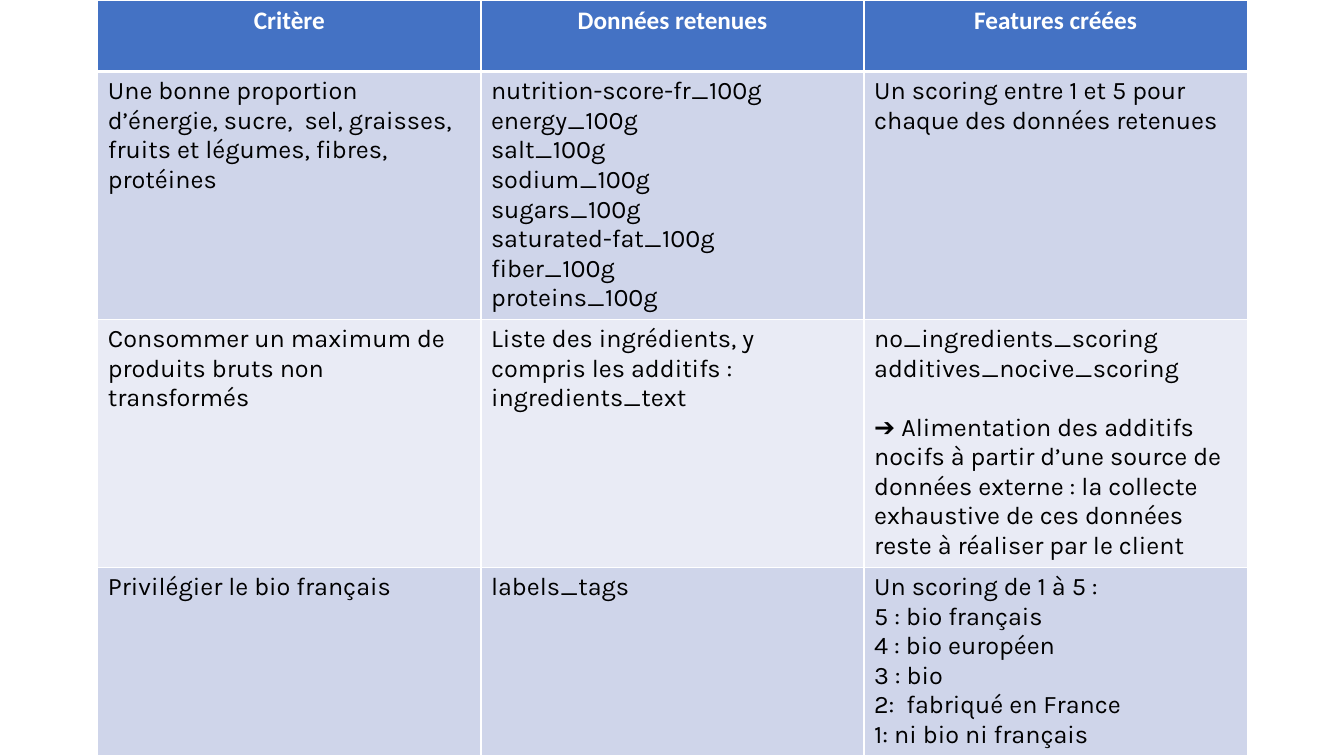
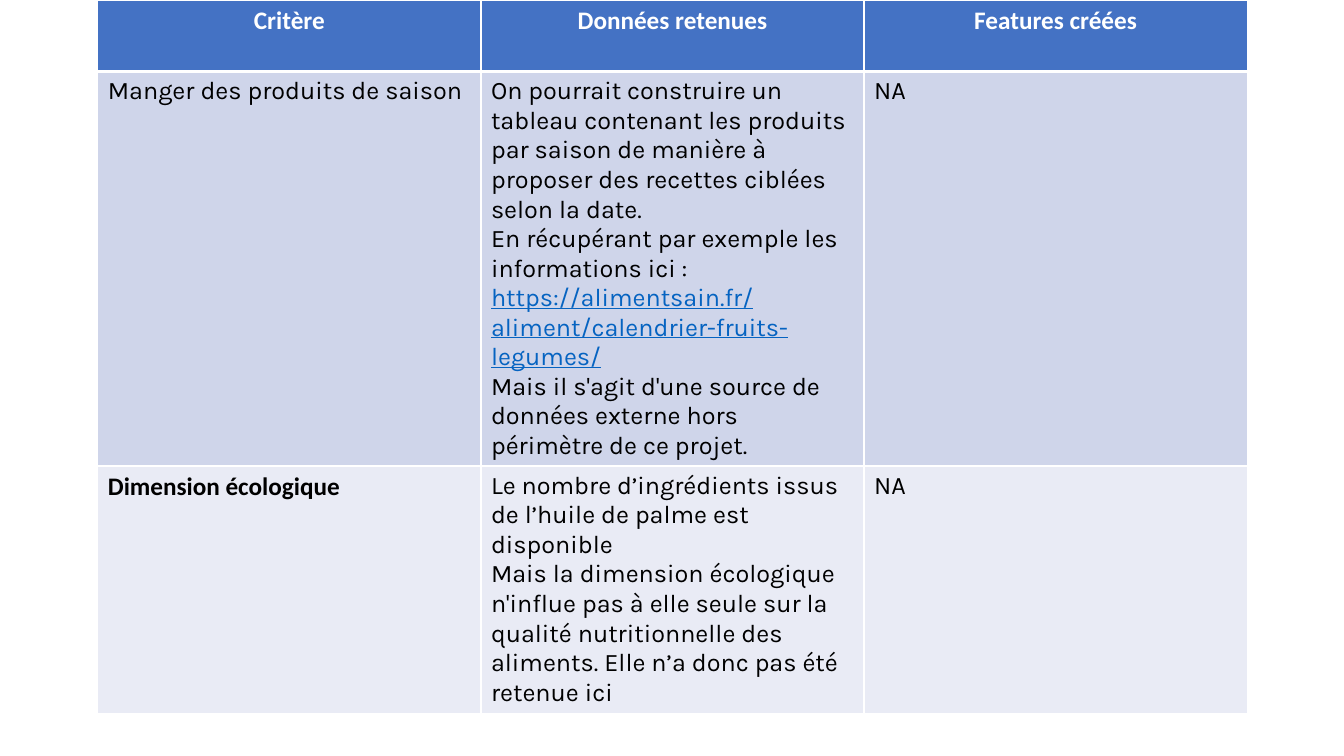
"""Build two slides of criteria tables for a nutrition data project."""
import pptx
import pptx.dml.color
import pptx.enum.text
import pptx.oxml.ns
import pptx.util
from lxml import etree

Inches, Pt = pptx.util.Inches, pptx.util.Pt
RGBColor = pptx.dml.color.RGBColor

WHITE = RGBColor(0xFF, 0xFF, 0xFF)
BLACK = RGBColor(0, 0, 0)
HEADER_BLUE = RGBColor(0x44, 0x72, 0xC4)
BANDS = (RGBColor(0xCF, 0xD5, 0xEA), RGBColor(0xE9, 0xEB, 0xF5))
LINK_BLUE = RGBColor(0x05, 0x63, 0xC1)

STYLES = {
    "header": {"font": "Calibri", "bold": True, "color": WHITE},
    "body": {"font": "Karla", "bold": False, "color": BLACK},
    "strong": {"font": "Calibri", "bold": True, "color": BLACK},
    "link": {"font": "Karla", "bold": False, "color": LINK_BLUE, "underline": True},
    "note": {"font": "Karla", "bold": False, "color": BLACK, "before": 21},
}

TABLE_LEFT, COLUMN_WIDTH, HEADER_HEIGHT = 0.97, 3.8, 0.71
HEADERS = ("Critère", "Données retenues", "Features créées")

SLIDES = [
    [
        (2.46, [
            ["Une bonne proportion d’énergie, sucre,  sel, graisses, fruits et légumes, fibres, protéines"],
            ["nutrition-score-fr_100g", "energy_100g", "salt_100g", "sodium_100g",
             "sugars_100g", "saturated-fat_100g", "fiber_100g", "proteins_100g"],
            ["Un scoring entre 1 et 5 pour chaque des données retenues"],
        ]),
        (2.46, [
            ["Consommer un maximum de produits bruts non transformés"],
            ["Liste des ingrédients, y compris les additifs :", "ingredients_text"],
            ["no_ingredients_scoring", "additives_nocive_scoring",
             ("➔ Alimentation des additifs nocifs à partir d’une source de données externe : "
              "la collecte exhaustive de ces données reste à réaliser par le client", "note")],
        ]),
        (1.87, [
            ["Privilégier le bio français"],
            ["labels_tags"],
            ["Un scoring de 1 à 5 :", "5 : bio français", "4 : bio européen", "3 : bio",
             "2:  fabriqué en France", "1: ni bio ni français"],
        ]),
    ],
    [
        (3.91, [
            ["Manger des produits de saison"],
            ["On pourrait construire un tableau contenant les produits par saison "
             "de manière à proposer des recettes ciblées selon la date.",
             "En récupérant par exemple les informations ici :",
             ("https://alimentsain.fr/aliment/calendrier-fruits-legumes/", "link"),
             "Mais il s'agit d'une source de données externe hors périmètre de ce projet."],
            ["NA"],
        ]),
        (2.46, [
            [("Dimension écologique", "strong")],
            ["Le nombre d’ingrédients issus", "de l’huile de palme est disponible",
             "Mais la dimension écologique n'influe pas à elle seule sur la qualité "
             "nutritionnelle des aliments. Elle n’a donc pas été retenue ici"],
            ["NA"],
        ]),
    ],
]


def set_borders(cell, top, bottom):
    """Draw white cell borders, 1 pt on the sides."""
    tc_pr = cell._tc.get_or_add_tcPr()
    qn = pptx.oxml.ns.qn
    for side, width in (("L", 1), ("R", 1), ("T", top), ("B", bottom)):
        ln = etree.SubElement(tc_pr, qn(f"a:ln{side}"), w=str(Pt(width)))
        fill = etree.SubElement(ln, qn("a:solidFill"))
        etree.SubElement(fill, qn("a:srgbClr"), val=str(WHITE))


def write_cell(cell, paragraphs, default):
    """Write the paragraphs, each a text or a (text, style) pair."""
    tf = cell.text_frame
    for i, item in enumerate(paragraphs):
        text, name = (item, default) if isinstance(item, str) else item
        style = STYLES[name]
        p = tf.add_paragraph() if i else tf.paragraphs[0]
        p.text = text
        if name == "header":
            p.alignment = pptx.enum.text.PP_ALIGN.CENTER
        if "before" in style:
            p.space_before = Pt(style["before"])
        font = p.runs[0].font
        font.name, font.size, font.bold = style["font"], Pt(18), style["bold"]
        font.color.rgb = style["color"]
        font.underline = style.get("underline", False)


def add_criteria_table(slide, body):
    """Add a table with the shared header and banded body rows."""
    rows = [(HEADER_HEIGHT, [[header] for header in HEADERS])] + body
    table = slide.shapes.add_table(
        len(rows), len(HEADERS), Inches(TABLE_LEFT), 0,
        Inches(COLUMN_WIDTH * len(HEADERS)), Inches(sum(height for height, _ in rows)),
    ).table
    for column in table.columns:
        column.width = Inches(COLUMN_WIDTH)
    for i, (height, cells) in enumerate(rows):
        table.rows[i].height = Inches(height)
        for j, paragraphs in enumerate(cells):
            cell = table.cell(i, j)
            set_borders(cell, 3 if i == 1 else 1, 3 if i == 0 else 1)
            cell.fill.solid()
            cell.fill.fore_color.rgb = BANDS[(i - 1) % 2] if i else HEADER_BLUE
            write_cell(cell, paragraphs, "body" if i else "header")


def main():
    """Build and save the presentation."""
    prs = pptx.Presentation()
    prs.slide_width, prs.slide_height = Inches(13.33), Inches(7.5)
    for body in SLIDES:
        add_criteria_table(prs.slides.add_slide(prs.slide_layouts[6]), body)
    prs.save("out.pptx")


if __name__ == "__main__":
    main()
